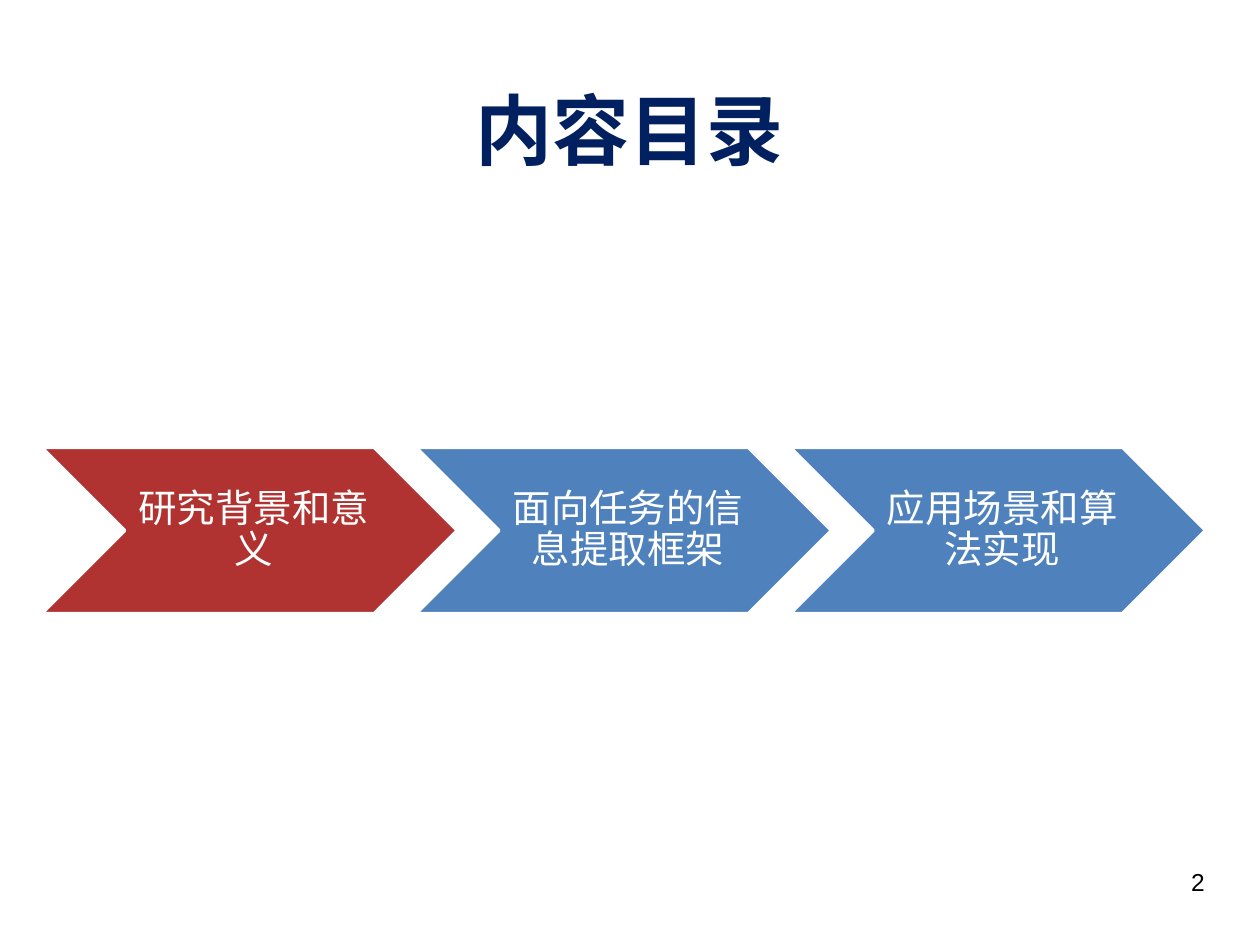
from dataclasses import dataclass

from lxml import etree
from pptx import Presentation
from pptx.dml.color import RGBColor
from pptx.enum import shapes, text
from pptx.oxml import ns
from pptx.util import Inches, Pt


@dataclass(frozen=True)
class Theme:
    heading_font: str = "Noto Sans CJK SC"
    number_font: str = "Arial"
    title_color: str = "002060"
    current_color: str = "B03331"
    step_color: str = "4F81BC"
    light: str = "FFFFFF"
    dark: str = "000000"
    title_size: int = 44
    step_size: int = 22
    number_size: int = 14
    outline_width: int = 2


class SlideBuilder:
    def __init__(self, slide, theme):
        self.slide = slide
        self.theme = theme

    def set_text(self, shape, content, font_name, size, color, alignment, bold=False):
        frame = shape.text_frame
        frame.word_wrap = True
        frame.text = content
        paragraph = frame.paragraphs[0]
        paragraph.alignment = alignment
        font = paragraph.font
        font.size = Pt(size)
        font.bold = bold
        font.color.rgb = RGBColor.from_string(color)
        font.name = font_name
        # Chinese characters take the East Asian typeface, not the Latin one.
        properties = paragraph._p.xpath("./a:pPr/a:defRPr")[0]
        etree.SubElement(properties, ns.qn("a:ea"), typeface=font_name)
        return paragraph

    def title(self, content, left, top, width, height):
        shape = self.slide.shapes.title
        shape.left, shape.top, shape.width, shape.height = left, top, width, height
        shape.text_frame.vertical_anchor = text.MSO_ANCHOR.MIDDLE
        self.set_text(shape, content, self.theme.heading_font, self.theme.title_size,
                      self.theme.title_color, text.PP_ALIGN.CENTER, bold=True)

    def chevron(self, content, color, left, top, width, height):
        shape = self.slide.shapes.add_shape(
            shapes.MSO_SHAPE.CHEVRON, left, top, width, height)
        shape.shadow.inherit = False
        shape.fill.solid()
        shape.fill.fore_color.rgb = RGBColor.from_string(color)
        shape.line.color.rgb = RGBColor.from_string(self.theme.light)
        shape.line.width = Pt(self.theme.outline_width)
        frame = shape.text_frame
        frame.vertical_anchor = text.MSO_ANCHOR.MIDDLE
        frame.margin_left = Inches(0.1)
        frame.margin_top = frame.margin_right = frame.margin_bottom = Inches(0.03)
        paragraph = self.set_text(shape, content, self.theme.heading_font,
                                  self.theme.step_size, self.theme.light,
                                  text.PP_ALIGN.CENTER)
        paragraph.line_spacing = 0.9

    def page_number(self, content, left, top, width, height):
        shape = self.slide.shapes.add_textbox(left, top, width, height)
        self.set_text(shape, content, self.theme.number_font, self.theme.number_size,
                      self.theme.dark, text.PP_ALIGN.RIGHT)


def main():
    presentation = Presentation()
    presentation.slide_width = Inches(10)
    presentation.slide_height = Inches(7.5)
    title_only = presentation.slide_layouts.get_by_name("Title Only")
    theme = Theme()
    builder = SlideBuilder(presentation.slides.add_slide(title_only), theme)

    builder.title("内容目录", Inches(0.33), Inches(0.65), Inches(9.34), Inches(0.74))
    builder.page_number("2", Inches(7.16), Inches(6.83), Inches(2.5), Inches(0.52))

    steps = ["研究背景和意义", "面向任务的信息提取框架", "应用场景和算法实现"]
    current_step = 0
    step_left, step_width, overlap = 0.33, 3.3, 0.33
    step_pitch = step_width - overlap
    for index, step in enumerate(steps):
        color = theme.current_color if index == current_step else theme.step_color
        builder.chevron(step, color, Inches(step_left + index * step_pitch),
                        Inches(3.55), Inches(step_width), Inches(1.32))

    presentation.save("out.pptx")


if __name__ == "__main__":
    main()
